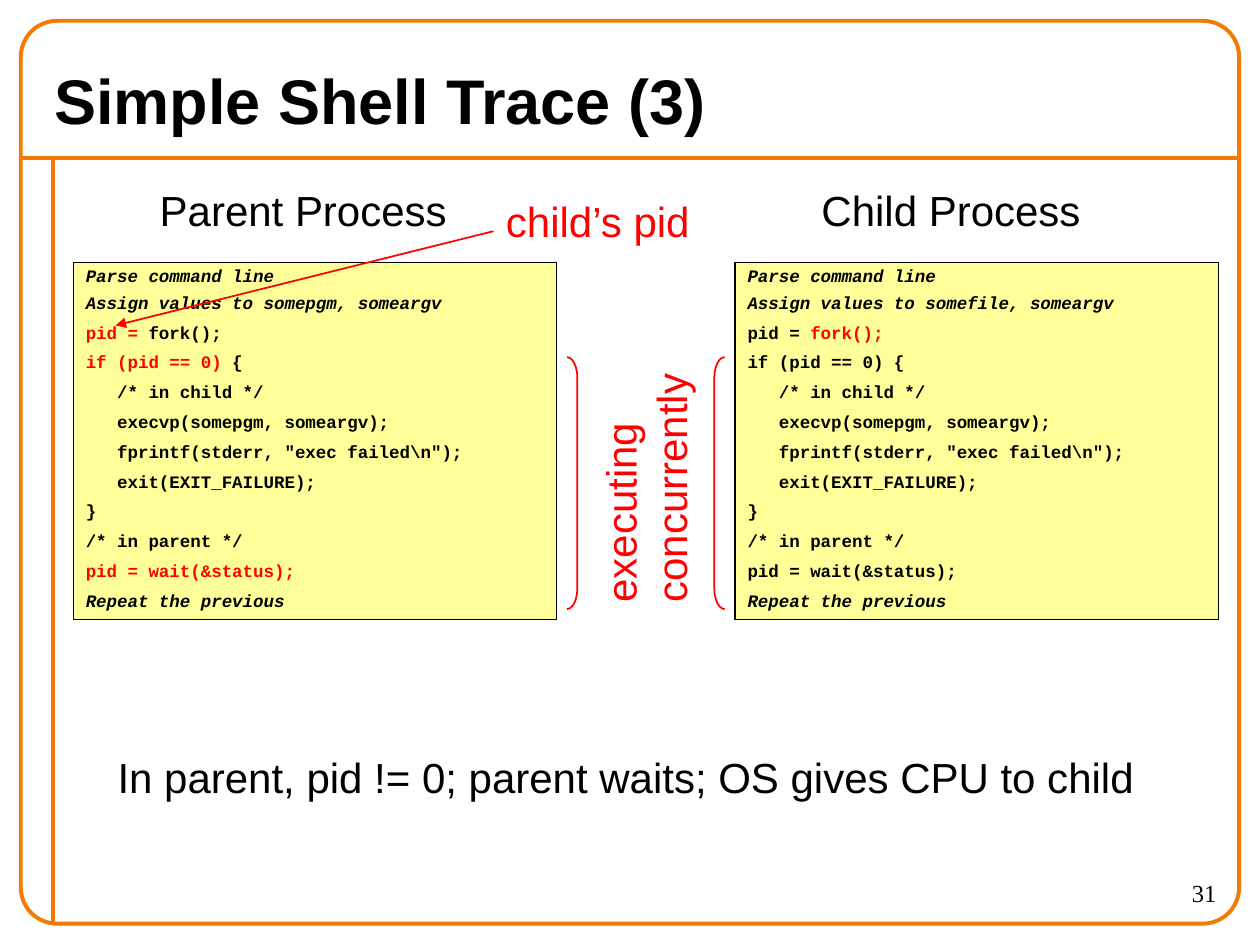
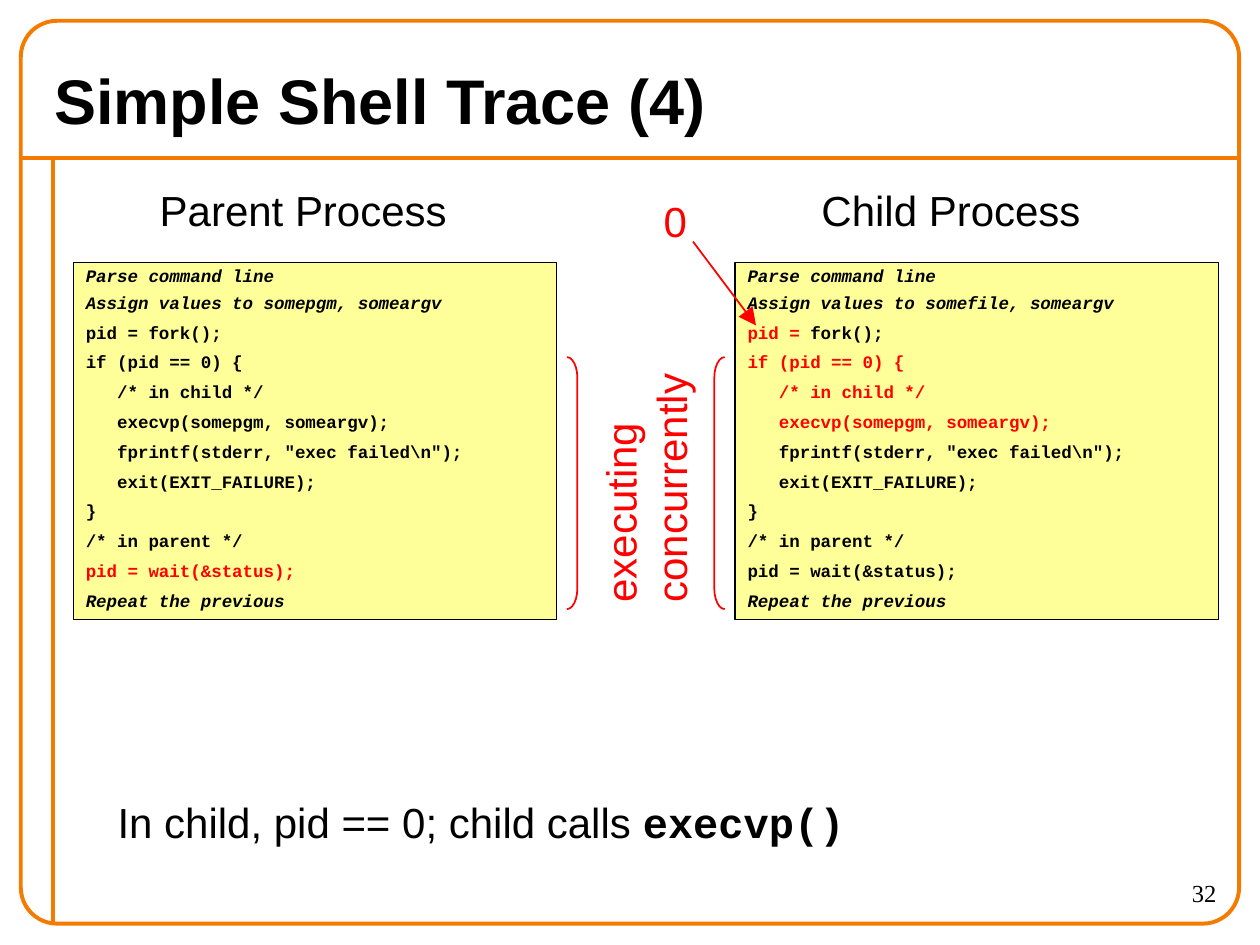
from pptx import Presentation
from pptx.dml.color import RGBColor
from pptx.enum.shapes import MSO_CONNECTOR, MSO_SHAPE
from pptx.enum.text import MSO_ANCHOR, PP_ALIGN
from pptx.oxml.ns import qn
from pptx.util import Cm, Pt
from lxml import etree

LINE = MSO_CONNECTOR.STRAIGHT
RECT = MSO_SHAPE.RECTANGLE
ROUND = MSO_SHAPE.ROUNDED_RECTANGLE
OPEN = MSO_SHAPE.LEFT_BRACKET
CLOSE = MSO_SHAPE.RIGHT_BRACKET
TOP, MIDDLE = MSO_ANCHOR.TOP, MSO_ANCHOR.MIDDLE
LEFT, RIGHT = PP_ALIGN.LEFT, PP_ALIGN.RIGHT

INK = {"black": "000000", "red": "FF0000", "orange": "F47A00", "yellow": "FFFF99"}
SANS, MONO, SERIF = "Arial", "Courier New", "Times New Roman"
HANG = Cm(0.61)
PARENT, CHILD = 1.48, 14.82

CODE = [
    "Parse command line",
    "Assign values to {}, someargv",
    "pid = fork();",
    "if (pid == 0) {",
    "   /* in child */",
    "   execvp(somepgm, someargv);",
    '   fprintf(stderr, "exec failed\\n");',
    "   exit(EXIT_FAILURE);",
    "}",
    "/* in parent */",
    "pid = wait(&status);",
    "Repeat the previous",
]
PROSE = (0, 1, len(CODE) - 1)
FORK, TEST, NOTE, EXEC, WAIT = 2, 3, 4, 5, 10


def tint(name):
    return RGBColor.from_string(INK[name])


def style(run, size, face=SANS, ink="black", bold=False, slant=False):
    font = run.font
    font.size, font.name = Pt(size), face
    font.bold, font.italic = bold, slant
    font.color.rgb = tint(ink)


def write(slide, words, box, size=24, face=SANS, ink="black", bold=False,
          align=LEFT, anchor=TOP):
    shape = slide.shapes.add_textbox(*map(Cm, box))
    frame = shape.text_frame
    frame.word_wrap = True
    frame.vertical_anchor = anchor
    frame.text = words
    for par in frame.paragraphs:
        par.alignment = align
        for run in par.runs:
            style(run, size, face, ink, bold)
    return shape


def draw(slide, kind, box, ink, width, fill=None):
    shape = slide.shapes.add_shape(kind, *map(Cm, box))
    shape.shadow.inherit = False
    if fill:
        shape.fill.solid()
        shape.fill.fore_color.rgb = tint(fill)
    else:
        shape.fill.background()
    shape.line.color.rgb = tint(ink)
    shape.line.width = Pt(width)
    return shape


def rule(slide, ends, ink, width, head=None):
    line = slide.shapes.add_connector(LINE, *map(Cm, ends))
    line.line.color.rgb = tint(ink)
    line.line.width = Pt(width)
    props = line._element.spPr
    if head:
        etree.SubElement(props.find(qn("a:ln")), qn("a:tailEnd"),
                         type="triangle", w=head, len=head)
    etree.SubElement(props, qn("a:effectLst"))


def trace(slide, left, name, reds):
    shape = draw(slide, RECT, (left, 5.29, 9.74, 7.2), "black", 0.75, "yellow")
    frame = shape.text_frame
    frame.word_wrap = True
    frame.vertical_anchor = TOP
    for row, line in enumerate(CODE):
        par = frame.add_paragraph() if row else frame.paragraphs[0]
        par.alignment = LEFT
        par.line_spacing = 0.8 if row < FORK else 0.9
        par.space_before = Pt(6.2 if row else 0)
        props = par._p.get_or_add_pPr()
        props.set("marL", str(HANG))
        props.set("indent", str(-HANG))
        if row == 1:
            line = line.format(name)
        red = reds.get(row, line)
        before, hit, after = line.partition(red)
        inks = ("black", "red" if row in reds else "black", "black")
        for part, ink in zip((before, hit, after), inks):
            if part:
                run = par.add_run()
                run.text = part
                style(run, 10, MONO, ink, True, row in PROSE)


def base(deck, title, page):
    slide = deck.slides.add_slide(deck.slide_layouts[6])
    rule(slide, (0.42, 3.18, 24.98, 3.18), "orange", 2.25)
    rule(slide, (1.06, 3.18, 1.06, 18.63), "orange", 2.25)
    edge = draw(slide, ROUND, (0.42, 0.42, 24.56, 18.2), "orange", 2.25)
    edge.adjustments[0] = 0.04
    write(slide, str(page), (22.23, 17.57, 2.54, 1.06), 14, SERIF, align=RIGHT)
    write(slide, title, (0.85, 1.06, 23.7, 1.9), 36, bold=True, anchor=MIDDLE)
    return slide


def stage(slide, ours, theirs):
    trace(slide, PARENT, "somepgm", ours)
    trace(slide, CHILD, "somefile", theirs)
    for words, left in (("Parent Process", 2.97), ("Child Process", 16.31)):
        write(slide, words, (left, 3.6, 6.6, 1.27))
    for kind, left in ((CLOSE, 11.43), (OPEN, 14.4)):
        brace = draw(slide, kind, (left, 7.2, 0.21, 5.08), "red", 1)
        brace.adjustments[0] = 2
    label = write(slide, "executing\nconcurrently", (10.41, 8.65, 5.2, 2.29),
                  ink="red")
    label.rotation = 270


def main():
    deck = Presentation()
    deck.slide_width, deck.slide_height = Cm(25.4), Cm(19.05)

    slide = base(deck, "Simple Shell Trace (3)", 31)
    stage(slide,
          {FORK: "pid = ", TEST: "if (pid == 0)", WAIT: CODE[WAIT]},
          {FORK: "fork();"})
    write(slide, "In parent, pid != 0; parent waits; OS gives CPU to child",
          (2.12, 15.03, 21.4, 1.27))
    write(slide, "child’s pid", (9.95, 3.81, 4.4, 1.27), ink="red")
    rule(slide, (9.95, 4.66, 2.33, 6.56), "red", 1, "med")

    slide = base(deck, "Simple Shell Trace (4)", 32)
    stage(slide,
          {WAIT: CODE[WAIT]},
          {FORK: "pid = ", **{row: CODE[row] for row in (TEST, NOTE, EXEC)}})
    note = write(slide, "In child, pid == 0; child calls ",
                 (2.12, 15.93, 15.5, 1.27))
    call = note.text_frame.paragraphs[0].add_run()
    call.text = "execvp()"
    style(call, 24, MONO, bold=True)
    write(slide, "0", (13.13, 3.81, 1.1, 1.27), ink="red")
    rule(slide, (13.97, 4.87, 15.24, 6.56), "red", 1, "lg")

    deck.save("out.pptx")


if __name__ == "__main__":
    main()
